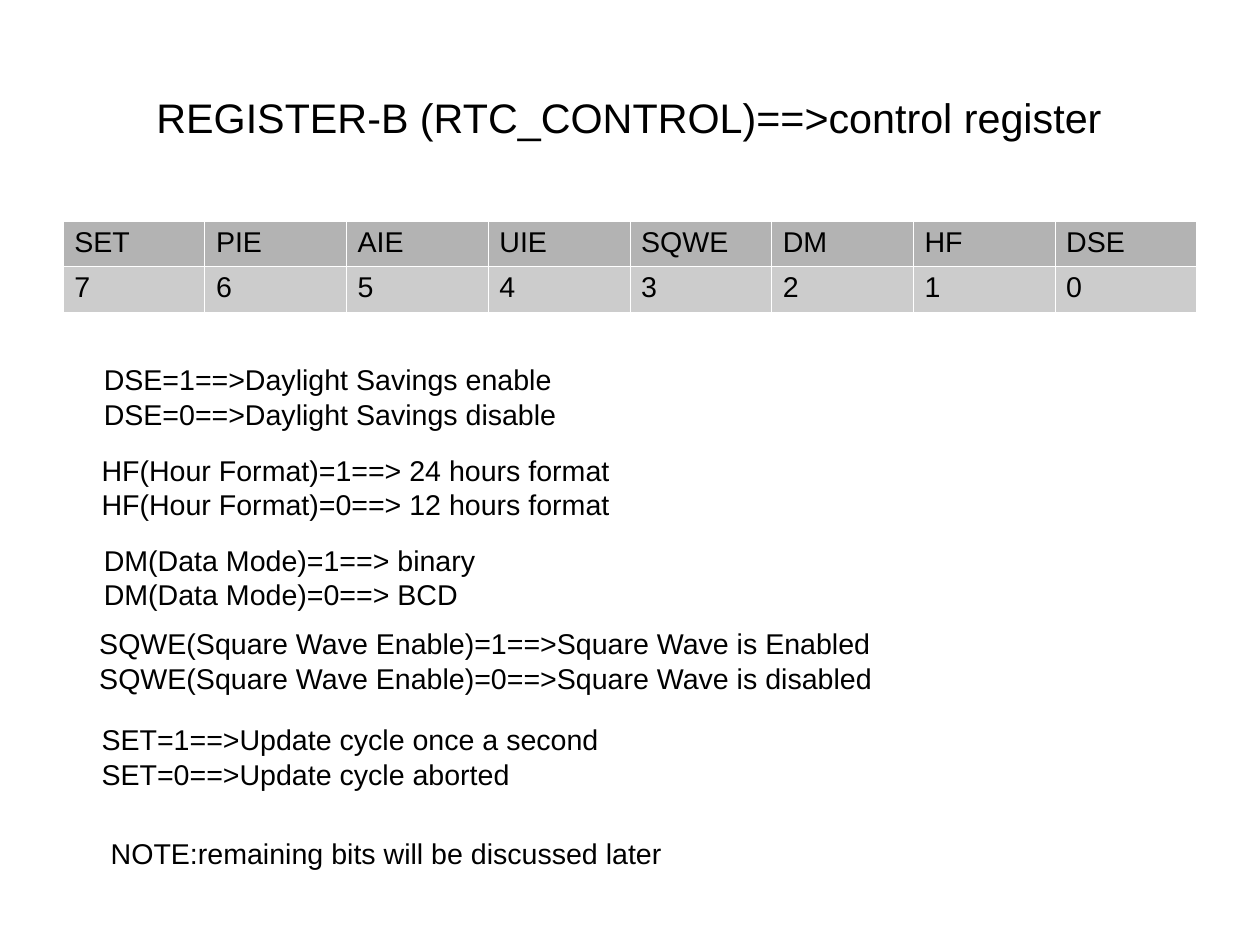
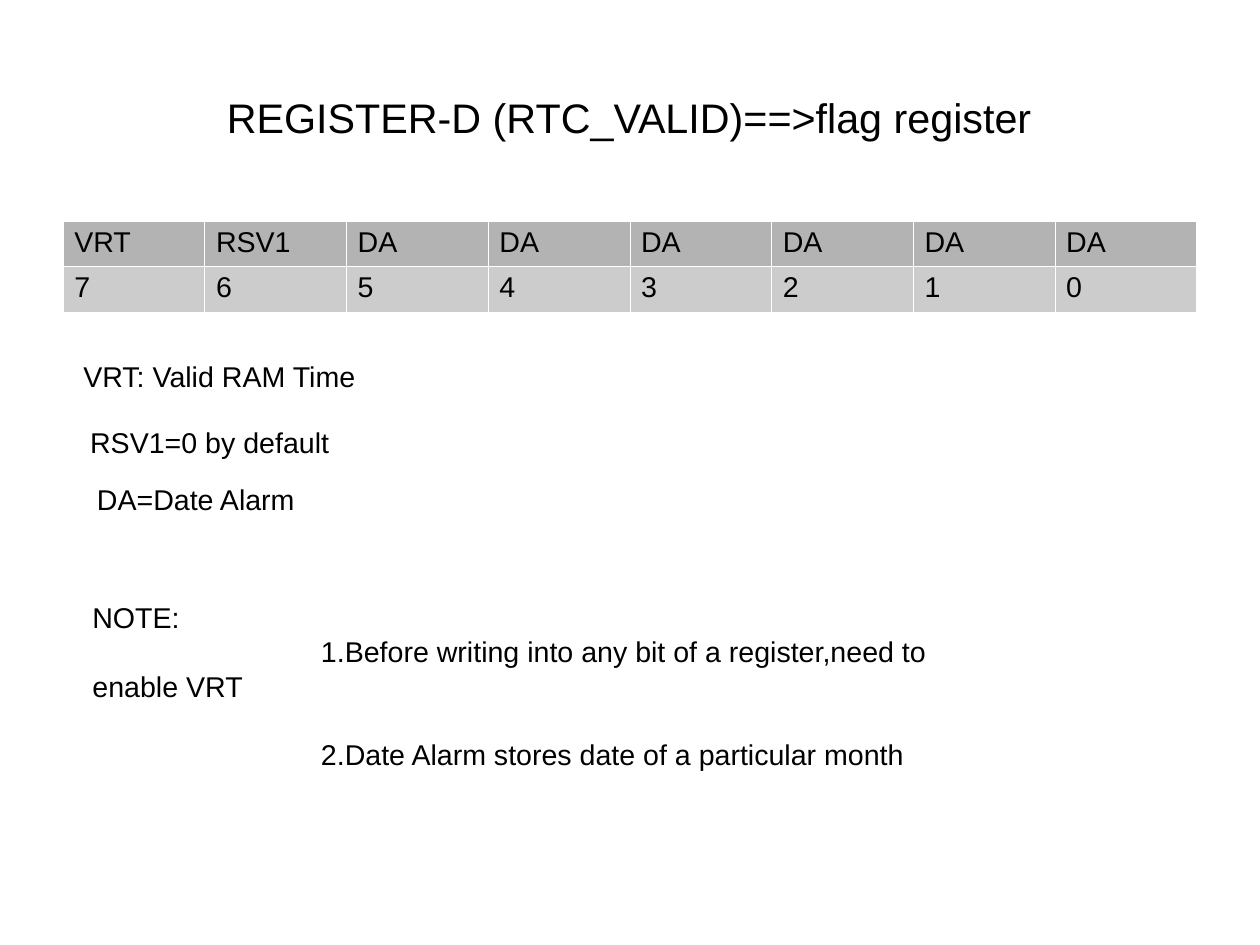
from lxml import etree
from pptx import Presentation
from pptx.dml.color import RGBColor
from pptx.enum import text
from pptx.oxml import ns
from pptx.util import Cm, Inches, Pt

BLACK = RGBColor(0x00, 0x00, 0x00)
WHITE = RGBColor(0xFF, 0xFF, 0xFF)
HEAD = RGBColor(0xB3, 0xB3, 0xB3)
BODY = RGBColor(0xCC, 0xCC, 0xCC)
FONT = "Arial"
LEFT, WIDTH = 0.55, 9.92
ROW = 0.38
BITS = 8

FLAGS = [
    (0.81, 3.12, 4.16, ["DSE=1==>Daylight Savings enable",
                        "DSE=0==>Daylight Savings disable"]),
    (0.79, 3.91, 4.65, ["HF(Hour Format)=1==> 24 hours format",
                        "HF(Hour Format)=0==> 12 hours format"]),
    (0.81, 4.7, 3.52, ["DM(Data Mode)=1==> binary",
                       "DM(Data Mode)=0==> BCD"]),
    (0.77, 5.43, 6.96, ["SQWE(Square Wave Enable)=1==>Square Wave is Enabled",
                        "SQWE(Square Wave Enable)=0==>Square Wave is disabled"]),
    (0.79, 6.27, 4.55, ["SET=1==>Update cycle once a second",
                        "SET=0==>Update cycle aborted"]),
    (0.87, 7.26, 5.02, ["NOTE:remaining bits will be discussed later"]),
]
TERMS = [
    (0.63, 3.09, 2.58, ["VRT: Valid RAM Time"]),
    (0.69, 3.67, 2.29, ["RSV1=0 by default"]),
    (0.75, 4.17, 1.93, ["DA=Date Alarm"]),
]
NOTES = ["NOTE:",
         "1.Before writing into any bit of a register,need to enable VRT",
         "2.Date Alarm stores date of a particular month"]


def style(para, size=18):
    para.font.name = FONT
    para.font.size = Pt(size)
    para.font.color.rgb = BLACK


def add_text(slide, left, top, width, height, lines, size=18, wrap=False):
    box = slide.shapes.add_textbox(*map(Inches, (left, top, width, height)))
    frame = box.text_frame
    frame.word_wrap = wrap
    if not wrap:
        frame.auto_size = text.MSO_AUTO_SIZE.SHAPE_TO_FIT_TEXT
    frame.text = "\n".join(lines)
    for para in frame.paragraphs:
        style(para, size)
    return frame


def add_title(slide, title):
    frame = add_text(slide, LEFT, 0.33, WIDTH, 1.38, [title], 26, True)
    frame.margin_left = frame.margin_right = 0
    frame.margin_top = frame.margin_bottom = 0
    frame.vertical_anchor = text.MSO_ANCHOR.MIDDLE
    frame.paragraphs[0].alignment = text.PP_ALIGN.CENTER


def add_lines(cell):
    props = cell._tc.get_or_add_tcPr()
    for spot, side in enumerate(("lnL", "lnR", "lnT", "lnB")):
        line = etree.Element(ns.qn("a:" + side), w=str(Pt(0.06)))
        fill = etree.SubElement(line, ns.qn("a:solidFill"))
        etree.SubElement(fill, ns.qn("a:srgbClr"), val=str(WHITE))
        props.insert(spot, line)


def add_bits(slide, names):
    rows = [(HEAD, names), (BODY, range(BITS - 1, -1, -1))]
    table = slide.shapes.add_table(
        len(rows), BITS, Inches(LEFT), Inches(1.93),
        Inches(WIDTH), Inches(ROW * len(rows))).table
    table.first_row = table.horz_banding = False
    for row, (color, values) in enumerate(rows):
        for col, value in enumerate(values):
            cell = table.cell(row, col)
            cell.text = str(value)
            style(cell.text_frame.paragraphs[0])
            cell.fill.solid()
            cell.fill.fore_color.rgb = color
            add_lines(cell)


def add_items(slide, items):
    for left, top, width, lines in items:
        add_text(slide, left, top, width, 0.1 + 0.28 * len(lines), lines)


def add_notes(slide):
    frame = add_text(slide, 0.71, 5.2, 7.88, 1.22, NOTES, wrap=True)
    for para in frame.paragraphs[1:]:
        props = para._p.get_or_add_pPr()
        props.set("marL", "0")
        props.set("indent", str(Inches(2)))
    frame.paragraphs[-1].space_before = Pt(21.7)


def add_page(deck, title, names, items):
    slide = deck.slides.add_slide(deck.slide_layouts[6])
    add_title(slide, title)
    add_bits(slide, names)
    add_items(slide, items)
    return slide


def main():
    deck = Presentation()
    deck.slide_width = Cm(28)
    deck.slide_height = Cm(21)
    add_page(deck, "REGISTER-B (RTC_CONTROL)==>control register",
             ["SET", "PIE", "AIE", "UIE", "SQWE", "DM", "HF", "DSE"], FLAGS)
    valid = add_page(deck, "REGISTER-D (RTC_VALID)==>flag register",
                     ["VRT", "RSV1"] + ["DA"] * 6, TERMS)
    add_notes(valid)
    deck.save("out.pptx")


if __name__ == "__main__":
    main()
